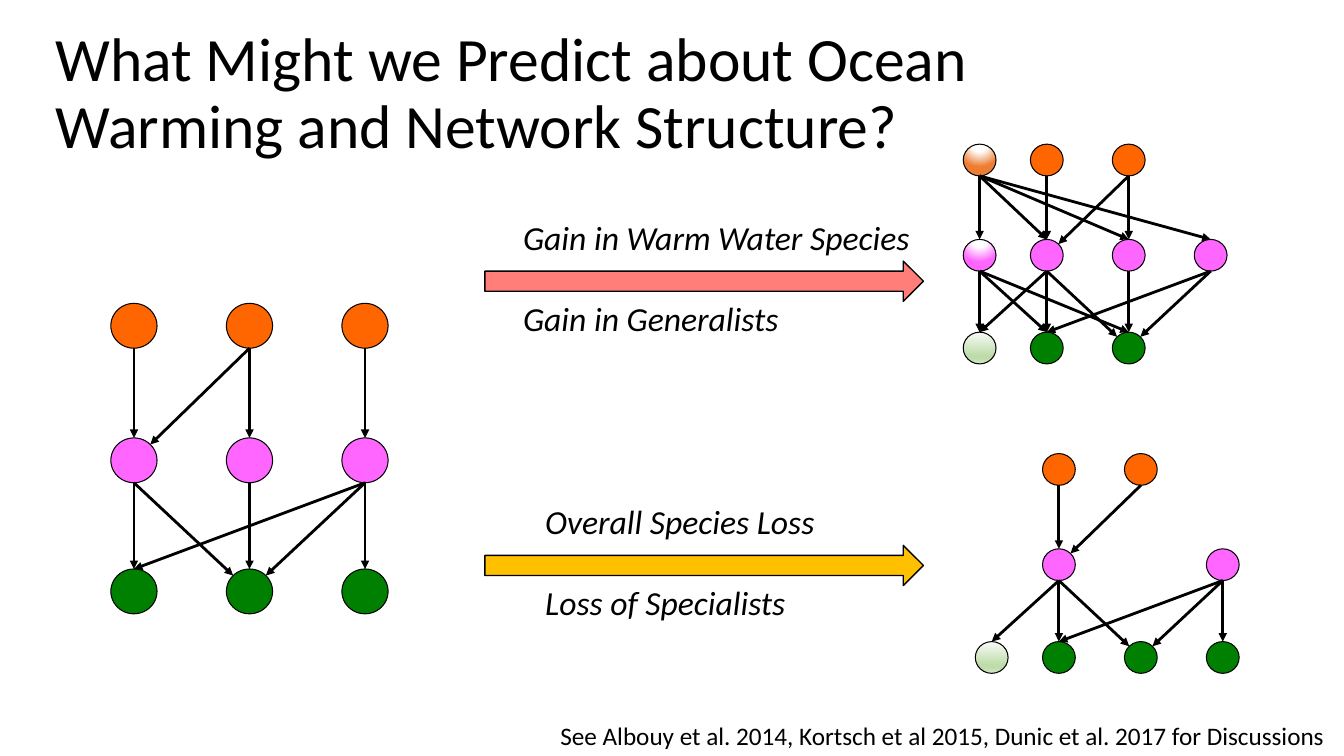
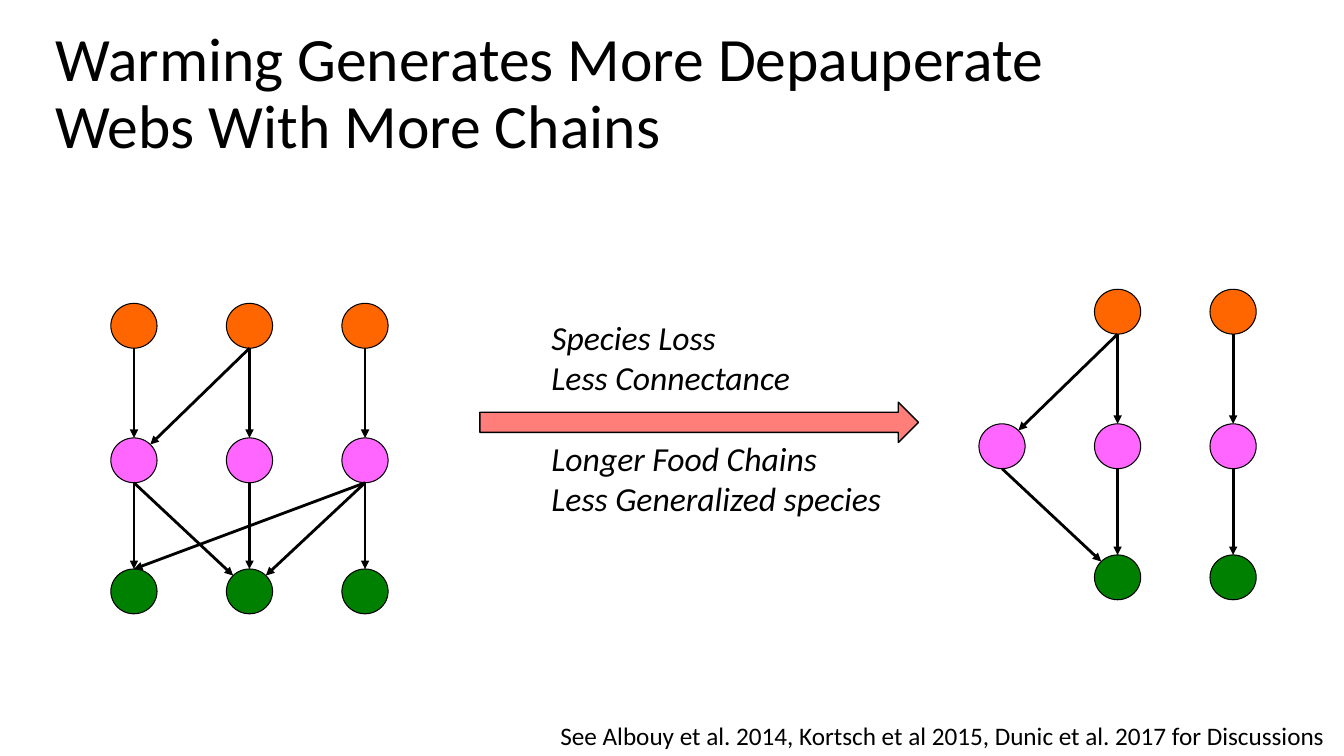
import pptx
import pptx.util
import pptx.dml.color
import pptx.enum.shapes
import pptx.enum.text
import pptx.oxml
import pptx.oxml.ns

WIDE, HIGH = pptx.util.Inches(13.33), pptx.util.Inches(7.5)
FONT = "Calibri"
BLACK, ROSE, GOLD = "000000", "FF7E79", "FFC000"
SHAPE = pptx.enum.shapes.MSO_SHAPE
ANCHOR = pptx.enum.text.MSO_ANCHOR

# Food web levels: top, middle, base
FILLS = {"T": "FF6600", "M": "FF66FF", "B": "008000"}
GLOW = '<a:path path="circle"><a:fillToRect l="50000" t="-80000" r="50000" b="180000"/></a:path>'
FADE = '<a:lin ang="5400000" scaled="0"/>'
FADES = {
    "T": ([(0, "FFFFFF"), (35, "FFFFFF"), (100, "ED7D31")], GLOW),
    "M": ([(0, "FFFFFF"), (35, "FFFFFF"), (100, "FF66FF")], GLOW),
    "B": ([(0, "F8FBF6"), (74, "BEDCAA"), (83, "BEDCAA"), (100, "D4E8C6")], FADE),
}

# Node grid as shares of a web's box; column w holds changed species
COLS = {"w": -0.82 * 5 / 12, "0": 0, "1": 5 / 12, "2": 10 / 12}
ROWS = {"T": 0, "M": 39 / 90, "B": 77 / 90}
NODE_W, NODE_H = 1 / 6, 13 / 90

# Boxes: left, top, width, height on a grid of 100 columns and 100 rows
TITLE = (3.38, 2.93, 86.25, 19.33)
FOOT = (40.96, 94.67, 59.04, 5.33)
BIG, SMALL = (20.63, 41.07), (14.63, 29.07)
ARROW = (32.63, 5.33)
START = (8.25, 40.13, *BIG)

# Nodes are level + column; links are two nodes and, if not the top,
# the side of the target that is met
FULL = ("T0 T1 T2 M0 M1 M2 B0 B1 B2",
        "T0M0 T1M0r T1M1 T2M2 M0B0 M0B1l M1B1 M2B0 M2B1r M2B2")
GAIN = ("Tw T0 T1 Mw M0 M1 M2 Bw B0 B1",
        "TwMw TwM0 TwM1 TwM2 T0M0 T1M0r T1M1 MwBw MwB0 MwB1 "
        "M0Bw M0B0 M0B1l M1B1 M2B0 M2B1r")
LOSS = ("T0 T1 M0 M2 Bw B0 B1 B2",
        "T0M0 T1M0r M0Bw M0B0 M0B1l M2B0 M2B1r M2B2")
CHAIN = ("T1 T2 M0 M1 M2 B1 B2",
         "T1M0r T1M1 T2M2 M0B1l M1B1 M2B2")


def color(text):
    return pptx.dml.color.RGBColor.from_string(text)


def place(box):
    left, top, wide, high = box
    return (round(WIDE * left / 100), round(HIGH * top / 100),
            round(WIDE * wide / 100), round(HIGH * high / 100))


def xml(tag, body="", attrs=""):
    space = pptx.oxml.ns.nsdecls("a")
    return pptx.oxml.parse_xml(f"<a:{tag} {space} {attrs}>{body}</a:{tag}>")


def paint(shape, fill, width):
    shape.shadow.inherit = False
    shape.fill.solid()
    shape.fill.fore_color.rgb = color(fill)
    shape.line.color.rgb = color(BLACK)
    shape.line.width = pptx.util.Pt(width)


def blend(shape, stops, shade):
    marks = "".join(f'<a:gs pos="{pos * 1000}"><a:srgbClr val="{hue}"/></a:gs>'
                    for pos, hue in stops)
    old = shape.element.spPr.find(pptx.oxml.ns.qn("a:solidFill"))
    grad = xml("gradFill", f"<a:gsLst>{marks}</a:gsLst>{shade}", 'rotWithShape="1"')
    shape.element.spPr.replace(old, grad)


def write(slide, box, lines, size, wrap=False, italic=False):
    frame = slide.shapes.add_textbox(*place(box)).text_frame
    frame.word_wrap = wrap
    for i, line in enumerate(lines):
        para = frame.paragraphs[0] if i == 0 else frame.add_paragraph()
        run = para.add_run()
        run.text = line
        run.font.name = FONT
        run.font.size = pptx.util.Pt(size)
        run.font.italic = italic
        run.font.color.rgb = color(BLACK)
    return frame


# Title and citation, the same on every slide
def page(deck, title):
    slide = deck.slides.add_slide(deck.slide_layouts[6])
    frame = write(slide, TITLE, [title], 44, wrap=True)
    frame.vertical_anchor = ANCHOR.MIDDLE
    frame.paragraphs[0].line_spacing = 0.9
    write(slide, FOOT, ["See Albouy et al. 2014, Kortsch et al 2015, "
                        "Dunic et al. 2017 for Discussions"], 18)
    return slide


# Food web: a group of nodes and arrows that fills its box
def web(slide, box, plan):
    left, top, wide, high = place(box)
    parts = slide.shapes.add_group_shape().shapes
    names, links = plan
    nodes = {}
    for name in names.split():
        row, col = name
        node = parts.add_shape(
            SHAPE.OVAL, round(left + COLS[col] * wide), round(top + ROWS[row] * high),
            round(NODE_W * wide), round(NODE_H * high))
        paint(node, FILLS[row], 0.75)
        if col == "w":
            blend(node, *FADES[row])
        nodes[name] = node
    for link in links.split():
        join(parts, nodes[link[:2]], nodes[link[2:4]], link[4:])


def join(parts, head, tail, side):
    half = 0.5 ** 0.5 / 2
    across = {"": 0.5, "l": 0.5 - half, "r": 0.5 + half}[side]
    down = 0.5 - half if side else 0
    line = parts.add_connector(
        pptx.enum.shapes.MSO_CONNECTOR.STRAIGHT,
        head.left + head.width // 2, head.top + head.height,
        round(tail.left + across * tail.width), round(tail.top + down * tail.height))
    if not side:
        line.end_connect(tail, 0)
    line.line.color.rgb = color(BLACK)
    line.line.width = pptx.util.Pt(2)
    line.line._get_or_add_ln().append(xml("tailEnd", attrs='type="triangle"'))
    line.element.spPr.append(xml("effectLst"))


# Block arrow with words above and below it
def shift(slide, box, fill, words, above, below):
    frame = write(slide, words, above + below, 24, italic=True)
    frame.paragraphs[len(above)].space_before = pptx.util.Pt(29)
    paint(slide.shapes.add_shape(SHAPE.RIGHT_ARROW, *place(box)), fill, 1)


def main():
    deck = pptx.Presentation()
    deck.slide_width, deck.slide_height = WIDE, HIGH

    # Two possible outcomes
    slide = page(deck, "What Might we Predict about Ocean Warming and Network Structure?")
    web(slide, START, FULL)
    shift(slide, (36.08, 34.53, *ARROW), ROSE, (38.18, 28, 30.61, 17.47),
          ["Gain in Warm Water Species"], ["Gain in Generalists"])
    web(slide, (76.67, 19.07, *SMALL), GAIN)
    shift(slide, (36.08, 72.13, *ARROW), GOLD, (39.83, 65.6, 21.91, 17.47),
          ["Overall Species Loss"], ["Loss of Specialists"])
    web(slide, (77.57, 60, *SMALL), LOSS)

    # The outcome found
    slide = page(deck, "Warming Generates More Depauperate Webs With More Chains")
    web(slide, START, FULL)
    shift(slide, (35.71, 53.2, *ARROW), ROSE, (40.29, 41.2, 26.33, 33.6),
          ["Species Loss", "Less Connectance"],
          ["Longer Food Chains", "Less Generalized species"])
    web(slide, (72.84, 38.27, *BIG), CHAIN)

    deck.save("out.pptx")


if __name__ == "__main__":
    main()
